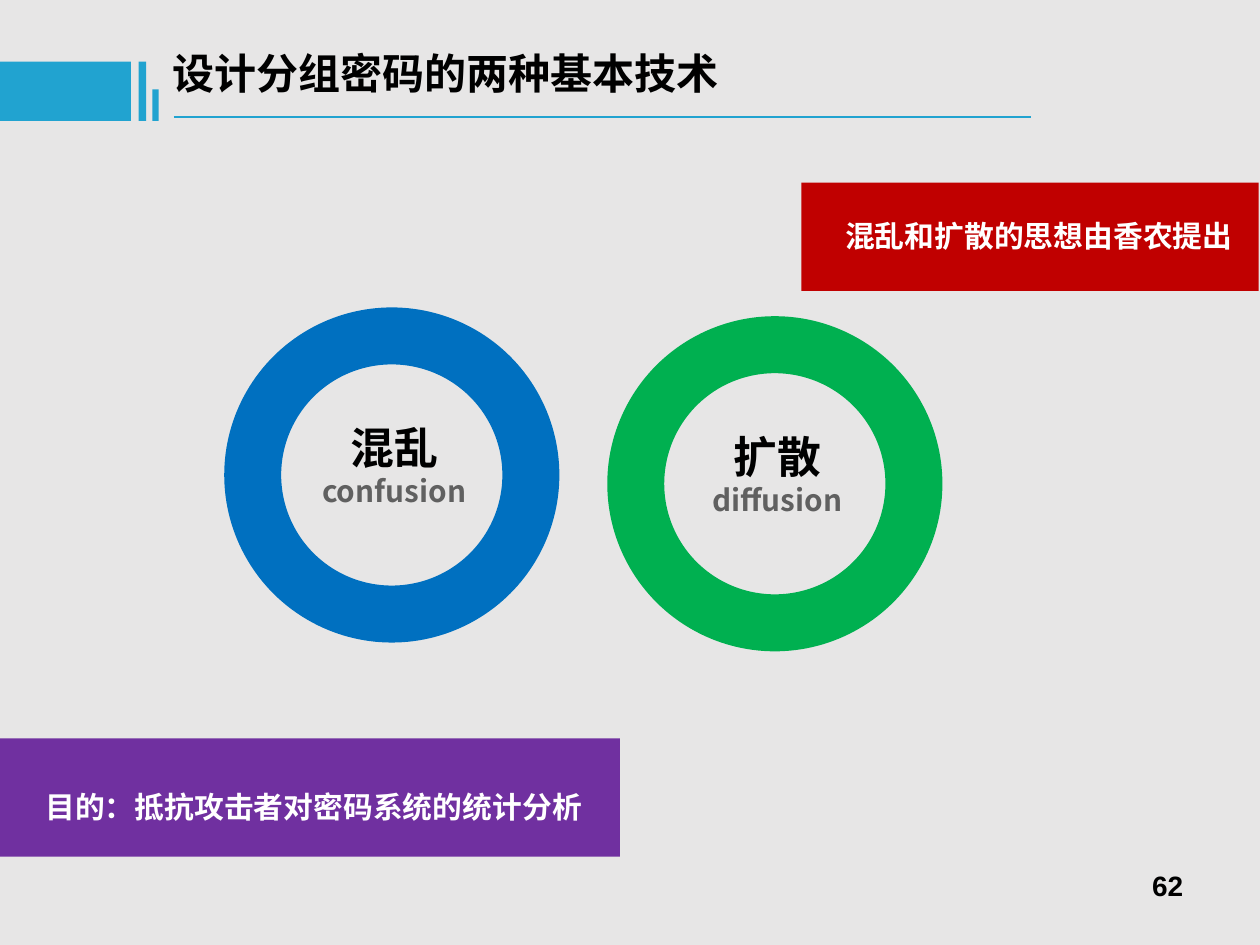
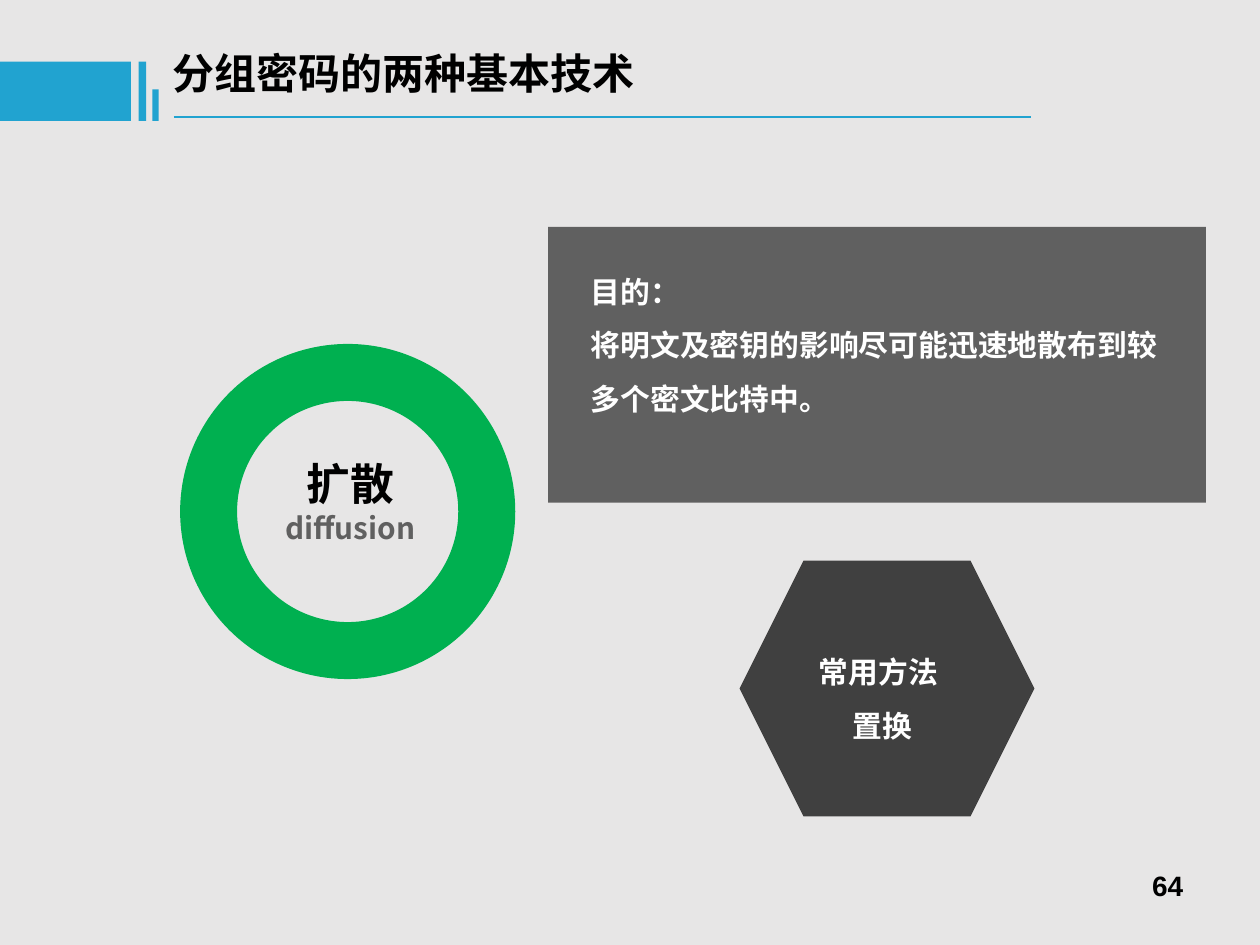
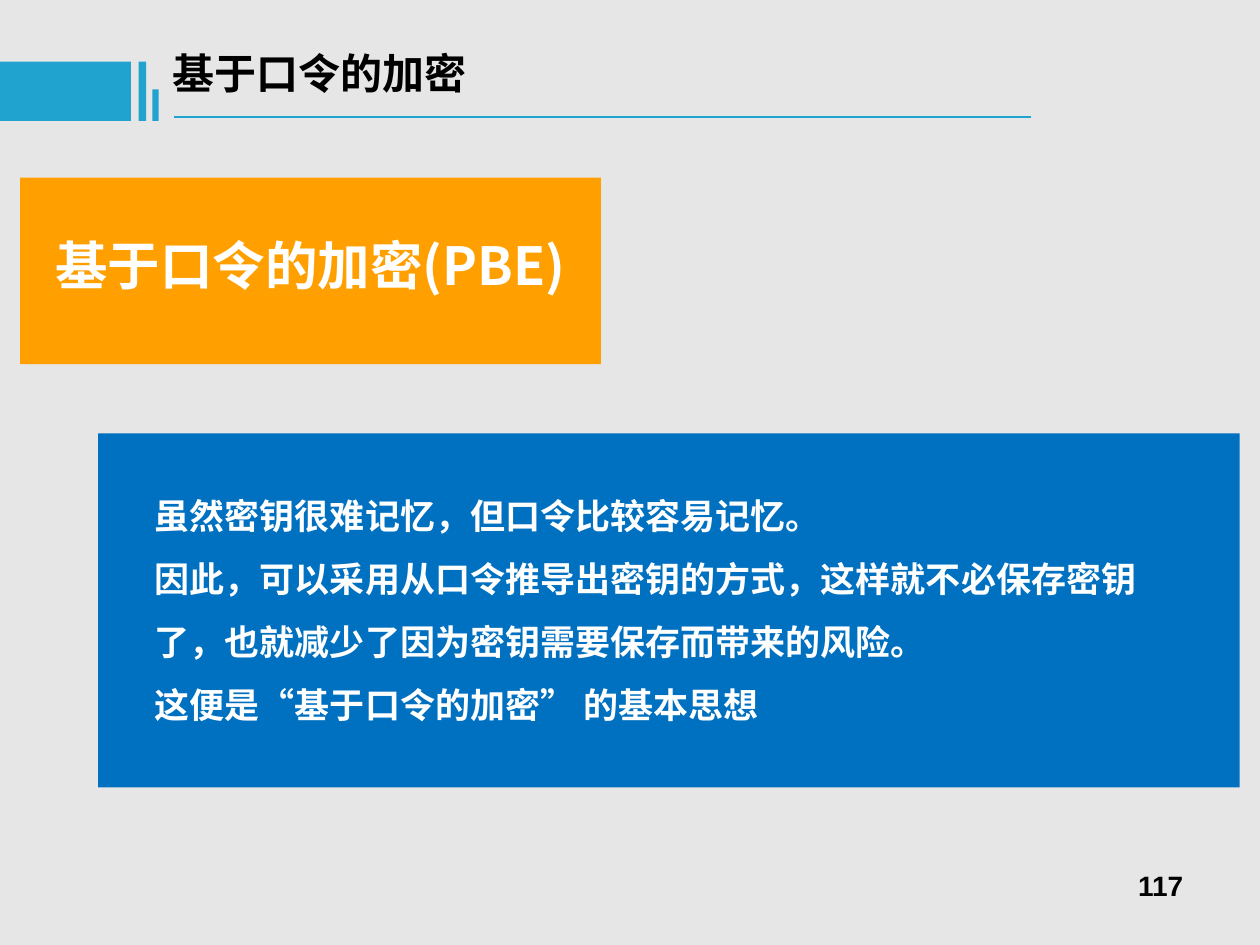
from lxml.etree import SubElement
from pptx import Presentation
from pptx.dml.color import RGBColor
from pptx.enum.shapes import MSO_CONNECTOR, MSO_SHAPE
from pptx.enum.text import PP_ALIGN
from pptx.oxml.ns import qn
from pptx.util import Inches, Pt

GREY_BACK = RGBColor(0xE7, 0xE6, 0xE6)
BAND = RGBColor(0x21, 0xA3, 0xD0)
BLUE = RGBColor(0x00, 0x70, 0xC0)
GREEN = RGBColor(0x00, 0xB0, 0x50)
RED = RGBColor(0xC0, 0x00, 0x00)
PURPLE = RGBColor(0x70, 0x30, 0xA0)
ORANGE = RGBColor(0xFF, 0xA0, 0x00)
GREY = RGBColor(0x60, 0x60, 0x60)
DARK = RGBColor(0x40, 0x40, 0x40)
BLACK = RGBColor(0x00, 0x00, 0x00)
WHITE = RGBColor(0xFF, 0xFF, 0xFF)
CJK = "Noto Sans CJK SC"
LEFT, CENTER, RIGHT = PP_ALIGN.LEFT, PP_ALIGN.CENTER, PP_ALIGN.RIGHT


def add_block(slide, at, colour, preset=MSO_SHAPE.RECTANGLE):
    block = slide.shapes.add_shape(preset, *map(Inches, at))
    block.shadow.inherit = False
    block.fill.solid()
    block.fill.fore_color.rgb = colour
    block.line.fill.background()
    return block


def write(slide, at, lines, align=LEFT, spacing=1, wrap=True, font=CJK, margins=(0.1, 0.05)):
    """Add a bold text box; lines holds (text, size, colour), one per paragraph."""
    frame = slide.shapes.add_textbox(*map(Inches, at)).text_frame
    frame.word_wrap = wrap
    frame.margin_left = frame.margin_right = Inches(margins[0])
    frame.margin_top = frame.margin_bottom = Inches(margins[1])
    for number, (text, size, colour) in enumerate(lines):
        paragraph = frame.add_paragraph() if number else frame.paragraphs[0]
        paragraph.alignment = align
        paragraph.line_spacing = spacing
        run = paragraph.add_run()
        run.text = text
        run.font.size = Pt(size)
        run.font.bold = True
        run.font.color.rgb = colour
        run.font.name = font
        SubElement(run.font._element, qn("a:ea"), typeface=CJK)
    return frame


prs = Presentation()
prs.slide_width, prs.slide_height = Inches(10), Inches(7.5)

# Shared header and page number
slides = []
for title, page in [
    ("设计分组密码的两种基本技术", "62"),
    ("分组密码的两种基本技术", "64"),
    ("基于口令的加密", "117"),
]:
    slide = prs.slides.add_slide(prs.slide_layouts[6])
    slide.background.fill.solid()
    slide.background.fill.fore_color.rgb = GREY_BACK
    write(slide, (7.17, 6.83, 2.33, 0.52), [(page, 16, BLACK)], RIGHT,
          font="Arial", margins=(0.11, 0.06))
    write(slide, (1.27, 0.33, 6.84, 0.9), [(title, 24, BLACK)])
    for left, top, width, height in [
        (0, 0.49, 1.04, 0.47), (1.1, 0.49, 0.06, 0.47), (1.21, 0.71, 0.05, 0.25)
    ]:
        add_block(slide, (left, top, width, height), BAND)
    underline = slide.shapes.add_connector(
        MSO_CONNECTOR.STRAIGHT, Inches(1.38), Inches(0.93), Inches(8.18), Inches(0.93))
    underline.line.color.rgb = BAND
    underline.line.width = Pt(1.5)
    SubElement(underline._element.spPr, qn("a:effectLst"))
    slides.append(slide)
techniques, diffusion, password = slides

# Rings naming the two techniques
for slide, left, top, colour, chinese, english in [
    (techniques, 1.78, 2.44, BLUE, "混乱", "confusion"),
    (techniques, 4.82, 2.51, GREEN, "扩散", "diffusion"),
    (diffusion, 1.43, 2.73, GREEN, "扩散", "diffusion"),
]:
    ring = add_block(slide, (left, top, 2.66, 2.66), colour, MSO_SHAPE.DONUT)
    ring.adjustments[0] = 0.17
    write(slide, (left + 0.6, top + 0.85, 1.5, 0.8),
          [(chinese, 25, BLACK), (english, 17, GREY)], CENTER, wrap=False)

# Slide 62: origin and purpose
add_block(techniques, (6.36, 1.45, 3.63, 0.86), RED)
write(techniques, (6.5, 1.68, 3.49, 0.39), [("混乱和扩散的思想由香农提出", 17, WHITE)],
      CENTER, wrap=False, font="Calibri")
add_block(techniques, (0, 5.86, 4.92, 0.94), PURPLE)
write(techniques, (0.29, 5.94, 4.55, 0.64),
      [("目的：抵抗攻击者对密码系统的统计分析", 17, WHITE)], spacing=2, margins=(0.07, 0.04))

# Slide 64: purpose and method of diffusion
add_block(diffusion, (4.35, 1.8, 5.22, 2.19), GREY)
write(diffusion, (4.59, 1.98, 4.89, 1.38), [
    ("目的：", 17, WHITE),
    ("将明文及密钥的影响尽可能迅速地散布到较多个密文比特中。", 17, WHITE),
], spacing=1.5, font="Calibri")
hexagon = add_block(diffusion, (5.87, 4.45, 2.34, 2.03), DARK, MSO_SHAPE.HEXAGON)
hexagon.adjustments[0] = 0.25
method = write(diffusion, (6.4, 5, 1.71, 0.95),
               [("常用方法", 17, WHITE), ("置换", 17, WHITE)], spacing=1.5, font="Calibri")
method.paragraphs[1]._p.get_or_add_pPr().set("marL", str(Inches(0.27)))

# Slide 117: password-based encryption
add_block(password, (0.16, 1.41, 4.61, 1.48), ORANGE)
write(password, (0.16, 1.8, 4.61, 0.6), [("基于口令的加密(PBE)", 30, WHITE)], CENTER, wrap=False)
add_block(password, (0.78, 3.44, 9.06, 2.81), BLUE)
write(password, (1.13, 3.71, 8.2, 2.1), [
    ("虽然密钥很难记忆，但口令比较容易记忆。", 20, WHITE),
    ("因此，可以采用从口令推导出密钥的方式，这样就不必保存密钥了，"
     "也就减少了因为密钥需要保存而带来的风险。", 20, WHITE),
    ("这便是“基于口令的加密” 的基本思想", 20, WHITE),
], spacing=1.5)

prs.save("out.pptx")
